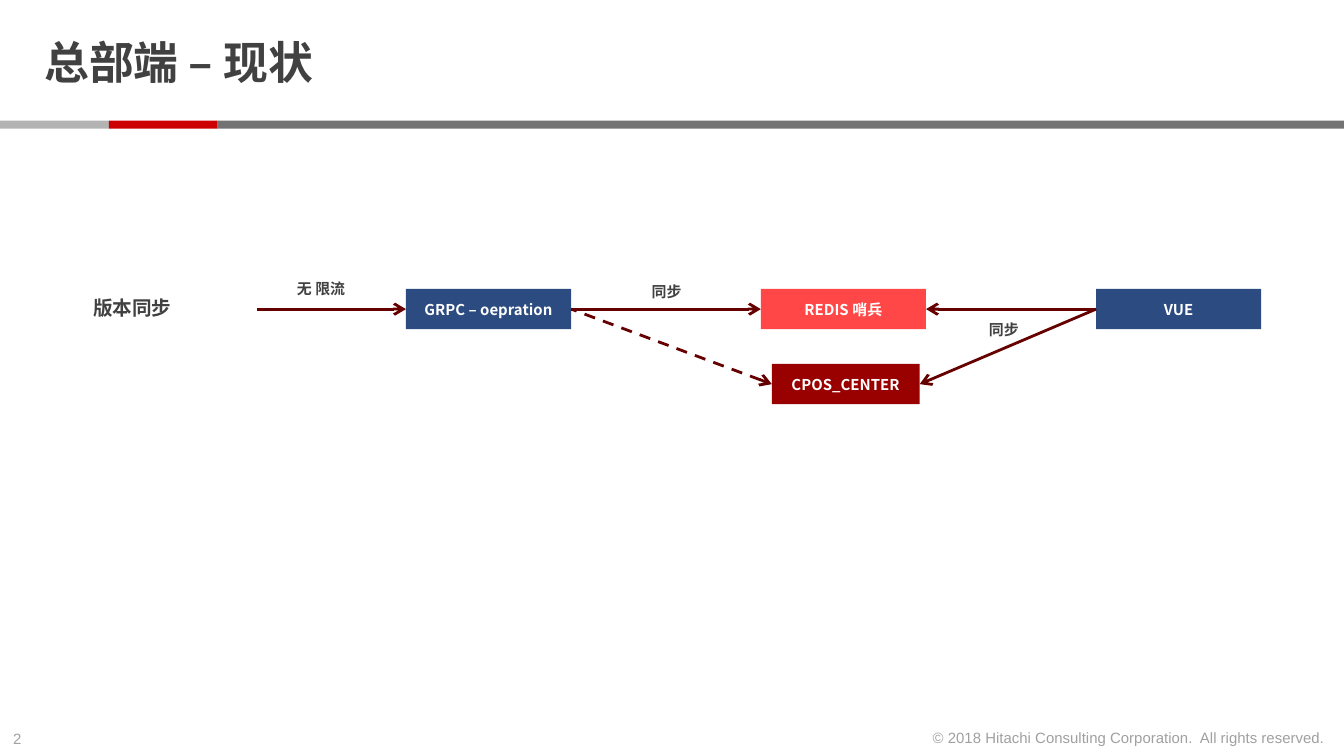
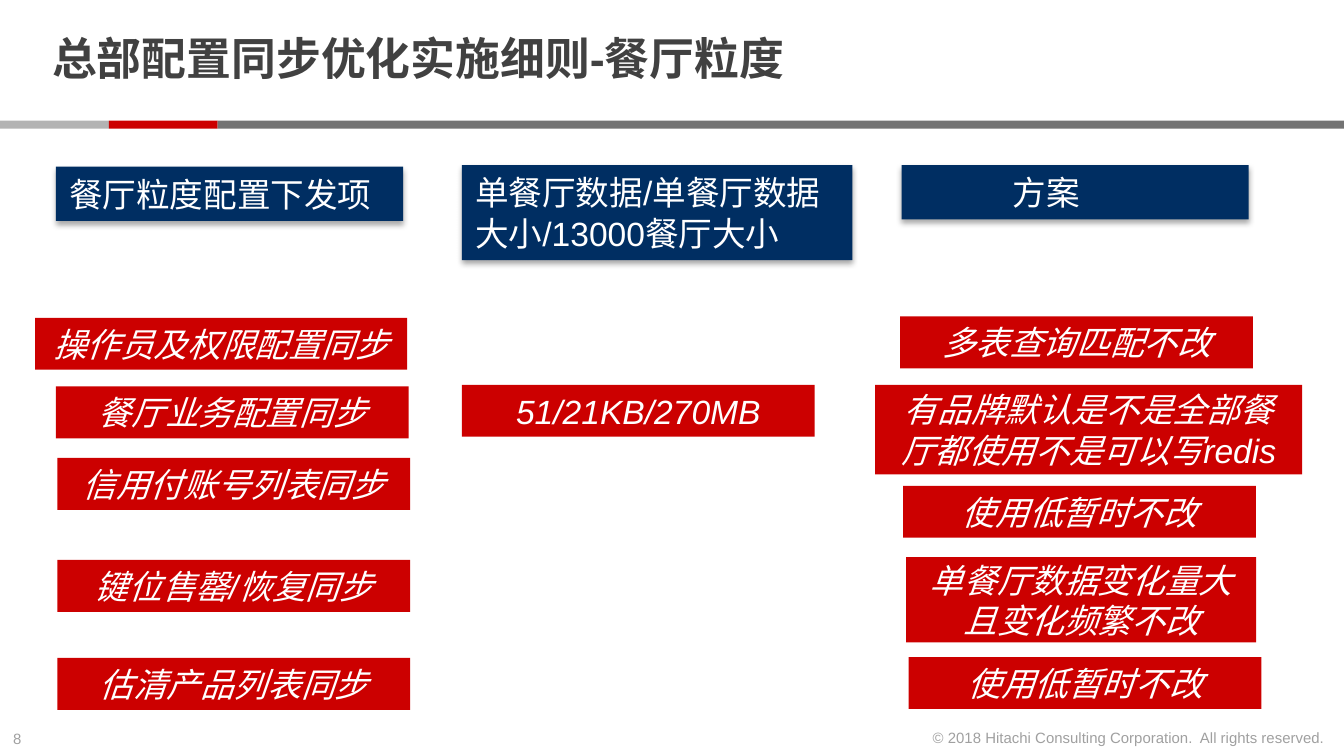
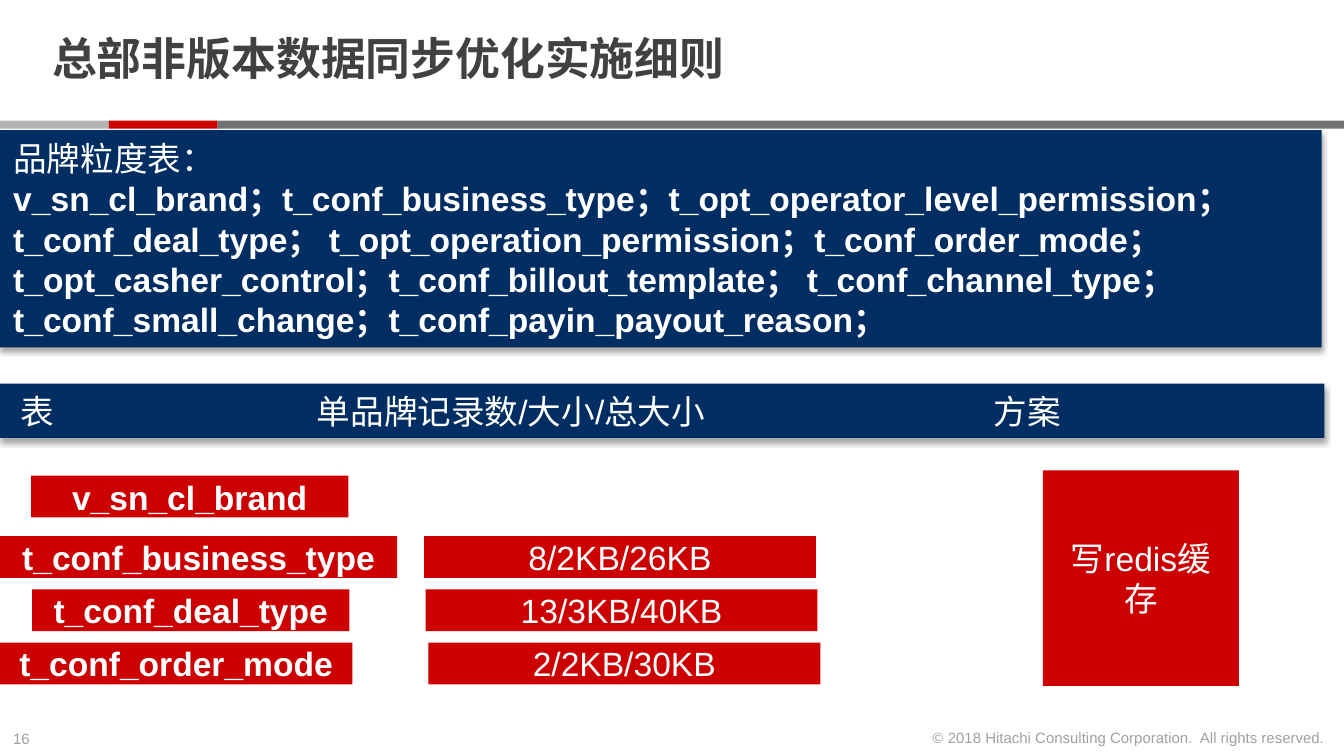
"""Build three slides on synchronising headquarters configuration data."""
import pptx
import pptx.dml.color
import pptx.enum.dml
import pptx.enum.shapes
import pptx.enum.text
import pptx.oxml.ns
import pptx.util
from lxml import etree

Pt = pptx.util.Pt
ALIGN = pptx.enum.text.PP_ALIGN
ANCHOR = pptx.enum.text.MSO_ANCHOR
LEFT_SITE, RIGHT_SITE = 1, 3

INK, WHITE, FOOTER_GREY = "414141", "FFFFFF", "A0A0A0"
NAVY, BLUE, RED, CORAL, DARK_RED, ARROW = "002E62", "2C4B80", "CC0000", "FF4747", "990000", "660000"
BANDS = [("B3B3B3", 0, 58.3), ("CC0000", 58.3, 58.3), ("737373", 116.6, 603.4)]
COPYRIGHT = "© 2018 Hitachi Consulting Corporation.\u00a0 All rights reserved."

FLOW_TITLE = "总部端 – 现状"
FLOW_SYSTEMS = {
    "GRPC – oepration": (BLUE, 217.5, 154.8, 88.5, 21.6),
    "CPOS_CENTER": (DARK_RED, 413.5, 195, 79.2, 21.6),
    "REDIS 哨兵": (CORAL, 407.6, 154.8, 88.5, 21.6),
    "VUE": (BLUE, 587.2, 154.8, 88.5, 21.6),
}
FLOW_LINKS = [
    ("REDIS 哨兵", RIGHT_SITE, "VUE", LEFT_SITE, False),
    ("CPOS_CENTER", RIGHT_SITE, "VUE", LEFT_SITE, False),
    ("REDIS 哨兵", LEFT_SITE, "GRPC – oepration", RIGHT_SITE, False),
    ("CPOS_CENTER", LEFT_SITE, "GRPC – oepration", RIGHT_SITE, True),
]
FLOW_ENTRY = (137.5, 165.6)
FLOW_LABELS = [
    ("同步", 522.7, 168.3, 31, 17, 8),
    ("同步", 342, 148.1, 31, 17, 8),
    ("版本同步", 43, 154.8, 57, 20, 10.5),
    ("无 限流", 152, 146.2, 41, 17, 8),
]

STORE_TITLE = "总部配置同步优化实施细则-餐厅粒度"
STORE_HEADINGS = [
    ("餐厅粒度配置下发项", 30, 89.3, 186, 29.1, 7.2),
    ("单餐厅数据/单餐厅数据大小/13000餐厅大小", 247.5, 88.5, 209.2, 50.9, 7.2),
    ("方案", 483, 88.5, 186, 29.1, 59.5),
]
STORE_ITEMS = [
    ("操作员及权限配置同步", 18.8, 170.3, 199.4, 27.8),
    ("餐厅业务配置同步", 30, 207, 189, 27.8),
    ("信用付账号列表同步", 30.8, 245.3, 189, 27.8),
    ("键位售罄/恢复同步", 30.8, 300, 189, 27.8),
    ("估清产品列表同步", 30.8, 352.5, 189, 27.8),
    ("51/21KB/270MB", 247.5, 206.2, 189, 27.8),
    ("多表查询匹配不改", 482.2, 169.5, 189, 27.8),
    ("有品牌默认是不是全部餐厅都使用不是可以写redis", 468.8, 206.2, 228.8, 48),
    ("使用低暂时不改", 483.8, 260.3, 189, 27.8),
    ("单餐厅数据变化量大且变化频繁不改", 485.4, 298.5, 187.5, 45.7),
    ("使用低暂时不改", 486.8, 352, 189, 27.8),
]

BRAND_TITLE = "总部非版本数据同步优化实施细则"
BRAND_TABLES = (
    "品牌粒度表：\n"
    "v_sn_cl_brand；t_conf_business_type；t_opt_operator_level_permission；"
    "t_conf_deal_type； t_opt_operation_permission；t_conf_order_mode； "
    "t_opt_casher_control；t_conf_billout_template； t_conf_channel_type；"
    "t_conf_small_change；t_conf_payin_payout_reason；"
)
BRAND_COLUMNS = "表\t单品牌记录数/大小/总大小\t方案"
BRAND_TABS = [159, 521.7]
BRAND_ROWS = [
    (254.9, ("v_sn_cl_brand", 16.6, 170), None),
    (287.2, ("t_conf_business_type", 0, 212.8), ("8/2KB/26KB", 227.2, 210)),
    (315.8, ("t_conf_deal_type", 17.2, 170), ("13/3KB/40KB", 228, 210)),
    (344.3, ("t_conf_order_mode", 0, 188.8), ("2/2KB/30KB", 229.5, 210)),
]
BRAND_ROW_HEIGHT = 22.4
BRAND_PLAN = ("写redis缓存", 558.7, 252, 105, 115.5)


def colour(value):
    return pptx.dml.color.RGBColor.from_string(value)


def add_xml(parent, tag, **attributes):
    return etree.SubElement(parent, pptx.oxml.ns.qn(tag), attributes)


def write(shape, text, size, ink, bold=False, italic=False, align=ALIGN.LEFT,
          font="Arial", tabs=()):
    frame = shape.text_frame
    frame.text = text
    for paragraph in frame.paragraphs:
        paragraph.alignment = align
        if tabs:
            stops = add_xml(paragraph._p.get_or_add_pPr(), "a:tabLst")
            for stop in tabs:
                add_xml(stops, "a:tab", pos=str(Pt(stop)), algn="l")
        style = paragraph.font
        style.name, style.size = font, Pt(size)
        style.bold, style.italic = bold, italic
        style.color.rgb = colour(ink)
    return frame


def add_box(slide, fill, *place):
    box = slide.shapes.add_shape(pptx.enum.shapes.MSO_SHAPE.RECTANGLE, *map(Pt, place))
    box.shadow.inherit = False
    box.fill.solid()
    box.fill.fore_color.rgb = colour(fill)
    box.line.fill.background()
    box.text_frame.word_wrap = True
    box.text_frame.vertical_anchor = ANCHOR.MIDDLE
    return box


def add_label(slide, text, place, size, ink, **style):
    label = slide.shapes.add_textbox(*map(Pt, place))
    frame = write(label, text, size, ink, **style)
    frame.word_wrap = False
    frame.auto_size = pptx.enum.text.MSO_AUTO_SIZE.SHAPE_TO_FIT_TEXT


def add_item(slide, text, *place, **style):
    write(add_box(slide, RED, *place), text, 18, WHITE, align=ALIGN.CENTER, **style)


def add_heading(slide, text, *place, inset=7.2, tabs=()):
    heading = add_box(slide, NAVY, *place)
    effects = heading._element.spPr.find(pptx.oxml.ns.qn("a:effectLst"))
    shadow = add_xml(effects, "a:outerShdw", blurRad="40000", dist="23000",
                     dir="5400000", rotWithShape="0")
    add_xml(add_xml(shadow, "a:srgbClr", val="000000"), "a:alpha", val="35000")
    frame = write(heading, text, 18, WHITE, tabs=tabs)
    frame.margin_left = Pt(inset)
    return frame


def add_arrow(slide, target, target_site, dashed=False):
    arrow = slide.shapes.add_connector(
        pptx.enum.shapes.MSO_CONNECTOR.STRAIGHT, 0, 0, *map(Pt, FLOW_ENTRY))
    arrow.begin_connect(target, target_site)
    arrow.line.color.rgb = colour(ARROW)
    arrow.line.width = Pt(1.5)
    if dashed:
        arrow.line.dash_style = pptx.enum.dml.MSO_LINE.DASH
    add_xml(arrow.line._get_or_add_ln(), "a:headEnd", type="arrow")
    add_xml(arrow._element.spPr, "a:effectLst")
    return arrow


def add_slide(deck, number, title, left=20.9, top=4.3):
    slide = deck.slides.add_slide(deck.slide_layouts[6])
    add_label(slide, number, (0, 387.2, 24.5, 17), 8, FOOTER_GREY)
    for fill, band_left, width in BANDS:
        add_box(slide, fill, band_left, 64.6, width, 4.3)
    add_label(slide, COPYRIGHT, (489.4, 386.9, 227.5, 17), 8, FOOTER_GREY, align=ALIGN.RIGHT)
    heading = slide.shapes.add_textbox(Pt(left), Pt(top), Pt(555), Pt(57.6))
    frame = write(heading, title, 24, INK, bold=True)
    frame.word_wrap = True
    frame.vertical_anchor = ANCHOR.MIDDLE
    frame.margin_top = frame.margin_bottom = 0
    frame.paragraphs[0].line_spacing = 0.85
    return slide


def build_flow(deck):
    slide = add_slide(deck, "2", FLOW_TITLE, 16.6, 6.5)
    systems = {}
    for name, (fill, *place) in FLOW_SYSTEMS.items():
        systems[name] = add_box(slide, fill, *place)
        write(systems[name], name, 8, WHITE, bold=True, align=ALIGN.CENTER,
              font="Noto Sans CJK SC")
    for target, target_site, source, source_site, dashed in FLOW_LINKS:
        arrow = add_arrow(slide, systems[target], target_site, dashed)
        arrow.end_connect(systems[source], source_site)
    add_arrow(slide, systems["GRPC – oepration"], LEFT_SITE)
    for text, *place, size in FLOW_LABELS:
        add_label(slide, text, place, size, INK, bold=True)


def build_store(deck):
    slide = add_slide(deck, "8", STORE_TITLE)
    for text, *place, inset in STORE_HEADINGS:
        add_heading(slide, text, *place, inset=inset)
    for item in STORE_ITEMS:
        add_item(slide, *item, italic=True)


def build_brand(deck):
    slide = add_slide(deck, "16", BRAND_TITLE)
    tables = add_heading(slide, BRAND_TABLES, 0, 69.8, 708, 116.4)
    tables.paragraphs[1].font.bold = True
    add_heading(slide, BRAND_COLUMNS, 0, 205.5, 709.5, 29.1, inset=10.8, tabs=BRAND_TABS)
    for top, table, volume in BRAND_ROWS:
        for cell, bold in ((table, True), (volume, False)):
            if cell:
                text, left, width = cell
                add_item(slide, text, left, top, width, BRAND_ROW_HEIGHT, bold=bold)
    add_item(slide, *BRAND_PLAN)


def main():
    deck = pptx.Presentation()
    deck.slide_width, deck.slide_height = Pt(720), Pt(405)
    build_flow(deck)
    build_store(deck)
    build_brand(deck)
    deck.save("out.pptx")


if __name__ == "__main__":
    main()
